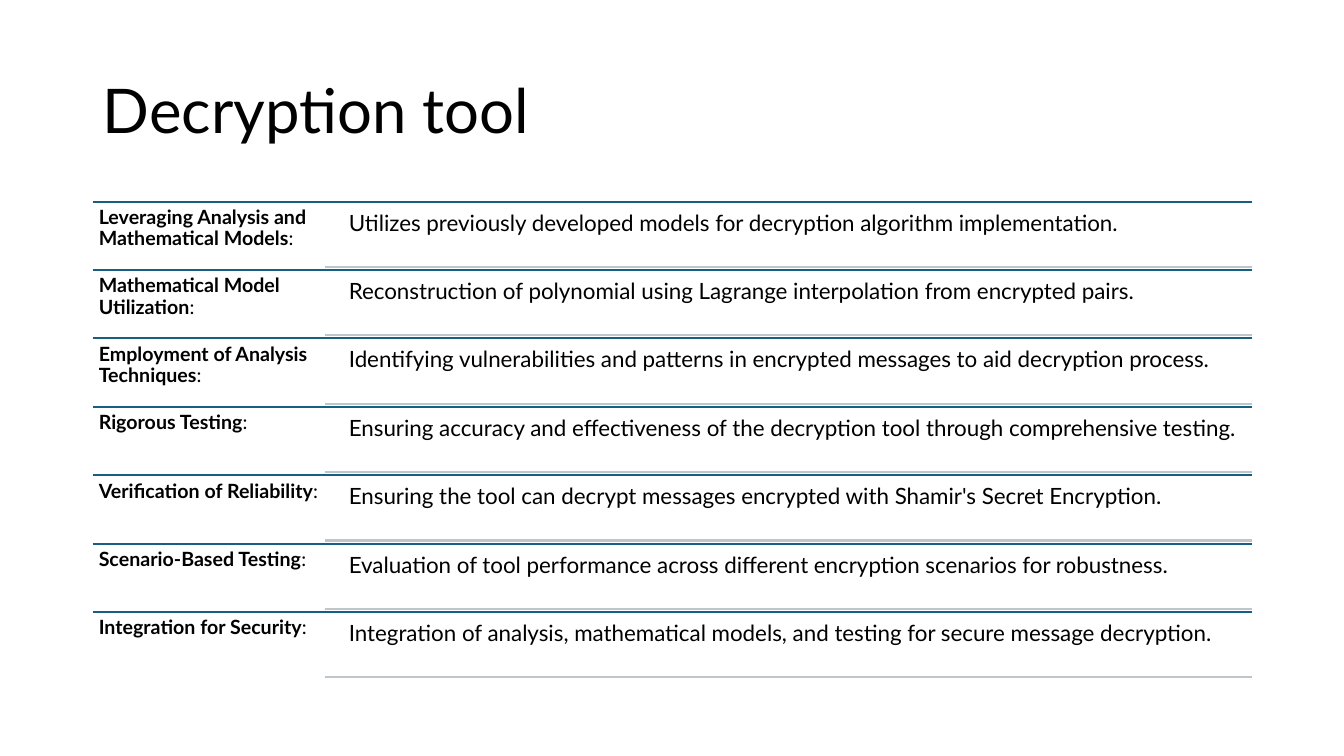
from lxml import etree
from pptx import Presentation
from pptx.dml.color import RGBColor
from pptx.enum.shapes import MSO_CONNECTOR
from pptx.enum.text import MSO_ANCHOR, PP_ALIGN
from pptx.oxml.ns import qn
from pptx.util import Inches, Pt

COLORS = {"text": "000000", "rule": "156082", "divider": "BDC5CD"}
FONT = "Lato"
STEPS = [
    ("Leveraging Analysis and Mathematical Models",
     "Utilizes previously developed models for decryption algorithm implementation."),
    ("Mathematical Model Utilization",
     "Reconstruction of polynomial using Lagrange interpolation from encrypted pairs."),
    ("Employment of Analysis Techniques",
     "Identifying vulnerabilities and patterns in encrypted messages to aid decryption process."),
    ("Rigorous Testing",
     "Ensuring accuracy and effectiveness of the decryption tool through comprehensive testing."),
    ("Verification of Reliability",
     "Ensuring the tool can decrypt messages encrypted with Shamir's Secret Encryption."),
    ("Scenario-Based Testing",
     "Evaluation of tool performance across different encryption scenarios for robustness."),
    ("Integration for Security",
     "Integration of analysis, mathematical models, and testing for secure message decryption."),
]


def format_paragraph(p, size):
    p.alignment = PP_ALIGN.LEFT
    p.line_spacing = 0.9
    p.font.name = FONT
    p.font.size = Pt(size)
    p.font.color.rgb = RGBColor.from_string(COLORS["text"])


def add_title(s, text, left, top, width, height):
    title = s.shapes.title
    title.left, title.top = Inches(left), Inches(top)
    title.width, title.height = Inches(width), Inches(height)
    tf = title.text_frame
    tf.text = text
    tf.vertical_anchor = MSO_ANCHOR.MIDDLE
    format_paragraph(tf.paragraphs[0], 44)


def add_rule(s, left, right, y, color):
    line = s.shapes.add_connector(
        MSO_CONNECTOR.STRAIGHT, Inches(left), Inches(y), Inches(right), Inches(y))
    line.line.color.rgb = RGBColor.from_string(COLORS[color])
    line.line.width = Pt(1.5)
    etree.SubElement(line._element.spPr, qn("a:effectLst"))


def add_text(s, left, top, width, height, inset, size):
    box = s.shapes.add_textbox(Inches(left), Inches(top), Inches(width), Inches(height))
    tf = box.text_frame
    tf.word_wrap = True
    tf.margin_left = tf.margin_right = tf.margin_top = tf.margin_bottom = Inches(inset)
    p = tf.paragraphs[0]
    format_paragraph(p, size)
    return p


def add_step(s, label, detail, left, top, width, height):
    right = left + width
    label_width = width / 5
    detail_left = left + label_width + 0.17
    gap = 0.03
    add_rule(s, left, right, top, "rule")
    p = add_text(s, left, top, label_width, height, 0.06, 14)
    r = p.add_run()
    r.text = label
    r.font.bold = True
    p.add_run().text = ":"
    p = add_text(s, detail_left, top + gap, right - detail_left, height - 2 * gap, 0.07, 16)
    p.add_run().text = detail
    add_rule(s, left + label_width, right, top + height - gap, "divider")


def add_steps(s, steps, left, top, width, height):
    row_height = height / len(steps)
    for i, (label, detail) in enumerate(steps):
        add_step(s, label, detail, left, top + i * row_height, width, row_height)


def main():
    prs = Presentation()
    prs.slide_width, prs.slide_height = Inches(13.33), Inches(7.5)
    s = prs.slides.add_slide(prs.slide_layouts[5])
    add_title(s, "Decryption tool", 0.92, 0.4, 11.5, 1.45)
    add_steps(s, STEPS, 0.92, 2, 11.5, 4.75)
    prs.save("out.pptx")


if __name__ == "__main__":
    main()
